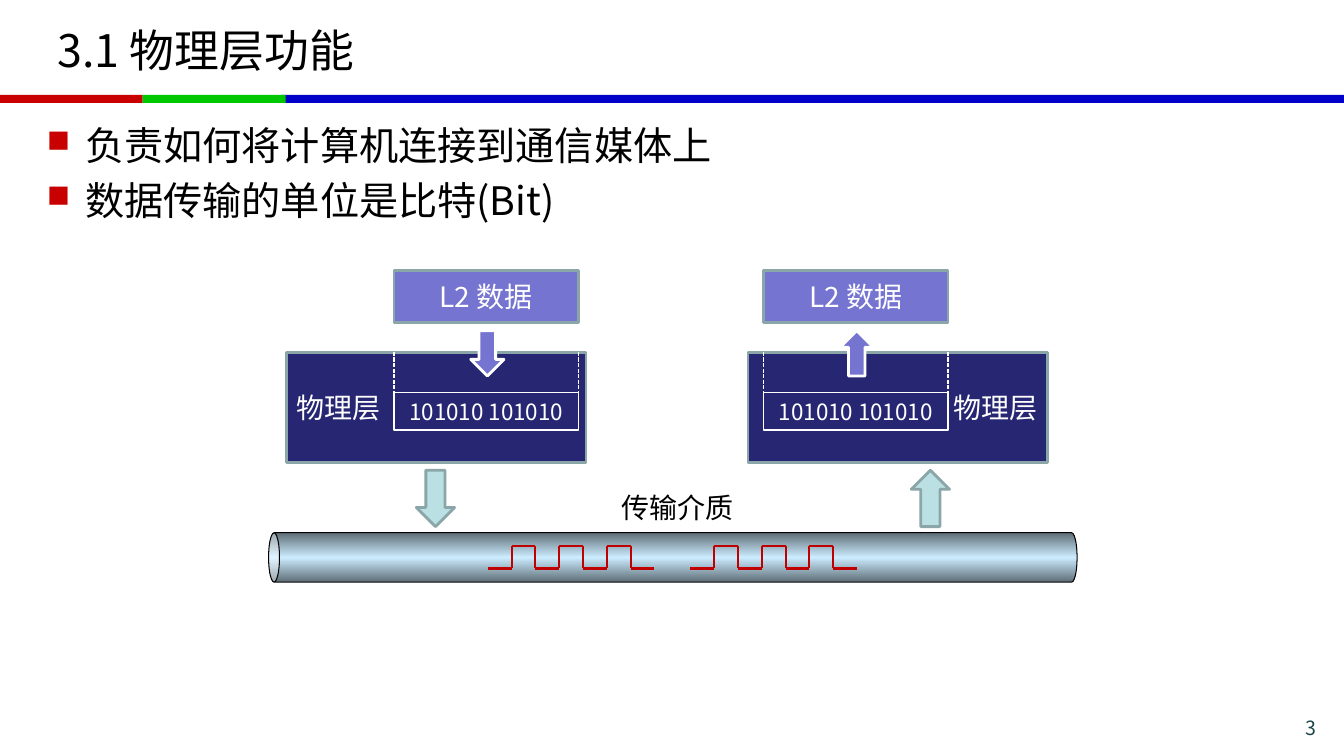
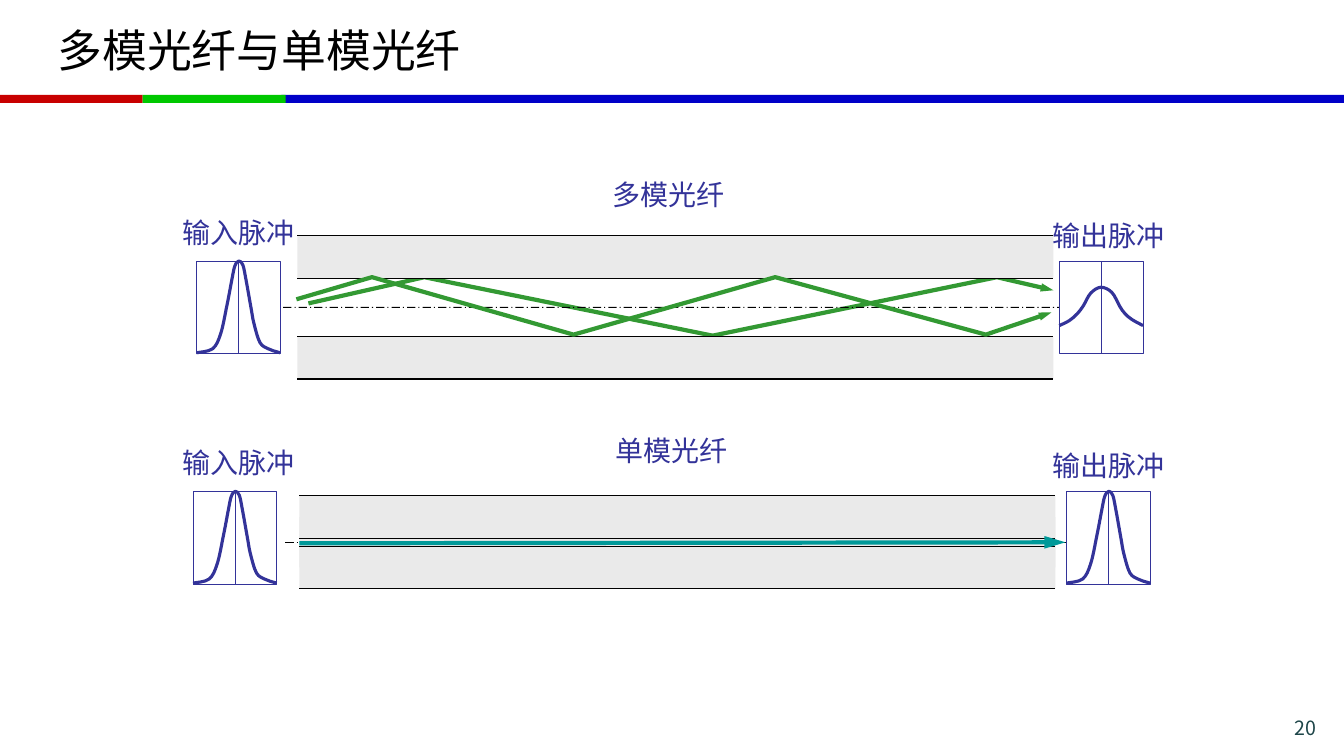
from lxml.etree import SubElement
from pptx import Presentation
from pptx.dml.color import RGBColor
from pptx.enum.dml import MSO_LINE
from pptx.enum.shapes import MSO_CONNECTOR, MSO_SHAPE
from pptx.enum.text import MSO_ANCHOR, MSO_AUTO_SIZE, PP_ALIGN
from pptx.oxml.ns import qn
from pptx.util import Inches, Pt

FONT = "Noto Sans CJK SC"
INK = {
    "black": "000000", "white": "FFFFFF", "page": "1E4649",
    "red": "C80000", "green": "00C800", "blue": "0000C8",
    "navy": "262673", "violet": "7575D1", "edge": "8AA6A8", "mint": "BBE0E3",
    "wave": "C00000", "shade": "5E6D76", "shine": "CCECFF",
    "clad": "EAEAEA", "pulse": "333399", "ray": "339933", "beam": "009999",
}
# The grid: square cells of a tenth of an inch, 133.33 columns by 75 rows
CELL = Inches(0.1)
COLS, ROWS = 133.33, 75
LEFT, MID, RIGHT = PP_ALIGN.LEFT, PP_ALIGN.CENTER, PP_ALIGN.RIGHT


def box(page, x, y, w, h, fill=None, edge=None, pt=1, text="", size=20,
        ink="black", align=MID, kind=MSO_SHAPE.RECTANGLE):
    """Add a shape, or a text box when kind is None."""
    place = [int(v * CELL) for v in (x, y, w, h)]
    if kind is None:
        shape = page.shapes.add_textbox(*place)
    else:
        shape = page.shapes.add_shape(kind, *place)
        shape.shadow.inherit = False
    for part, name in ((shape.fill, fill), (shape.line.fill, edge)):
        if name:
            part.solid()
            part.fore_color.rgb = RGBColor.from_string(INK[name])
        else:
            part.background()
    if edge:
        shape.line.width = Pt(pt)
    if text:
        frame = shape.text_frame
        frame.text = text
        frame.word_wrap = kind is not None or align != MID
        frame.vertical_anchor = MSO_ANCHOR.MIDDLE
        para = frame.paragraphs[0]
        para.alignment = align
        font = para.runs[0].font
        font.size = Pt(size)
        font.color.rgb = RGBColor.from_string(INK[ink])
    return shape


def wire(page, dots, ink, pt, dash=None, head=None, curve=False):
    """Join two dots by a connector, more dots by an open outline or curve."""
    dots = [(int(x * CELL), int(y * CELL)) for x, y in dots]
    if len(dots) == 2:
        shape = page.shapes.add_connector(MSO_CONNECTOR.STRAIGHT, *dots[0], *dots[1])
    else:
        pen = page.shapes.build_freeform(*dots[0], scale=1.0)
        pen.add_line_segments(dots[1:], close=False)
        shape = pen.convert_to_shape()
        shape.fill.background()
    shape.line.color.rgb = RGBColor.from_string(INK[ink])
    shape.line.width = Pt(pt)
    if dash:
        shape.line.dash_style = dash
    props = shape.element.spPr
    if curve:
        # Every three dots become two handles and the end of a Bézier curve
        track = next(props.iter(qn("a:path")))
        steps = list(track)[1:]
        for i in range(0, len(steps), 3):
            bend = SubElement(track, qn("a:cubicBezTo"))
            for step in steps[i:i + 3]:
                bend.append(step[0])
                track.remove(step)
    if head:
        SubElement(props.find(qn("a:ln")), qn("a:tailEnd"),
                   type="triangle", w=head[0], len=head[1])
    SubElement(props, qn("a:effectLst"))
    return shape


deck = Presentation()
deck.slide_width = int(COLS * CELL)
deck.slide_height = ROWS * CELL

# Shared title style and page number
pages = []
for plan, title, num in ((1, "3.1 物理层功能", "3"), (5, "多模光纤与单模光纤", "20")):
    page = deck.slides.add_slide(deck.slide_layouts[plan])
    pages.append(page)
    head = page.shapes.title
    head.left, head.top, head.width, head.height = [
        int(v * CELL) for v in (4.7, 0.75, 123.9, 8.4)]
    frame = head.text_frame
    frame.text = title
    frame.auto_size = MSO_AUTO_SIZE.NONE
    frame.vertical_anchor = MSO_ANCHOR.MIDDLE
    para = frame.paragraphs[0]
    para.alignment = LEFT
    para.runs[0].font.size = Pt(32)
    para.runs[0].font.color.rgb = RGBColor.from_string(INK["black"])
    box(page, 118.6, 70.8, 13, 2.8, text=num, size=14, ink="page", align=RIGHT, kind=None)
layer, fibre = pages

# Shared colour band, moved to the master
tree = deck.slide_master.shapes.element
for x, w, name in ((14.15, 14.2, "green"), (0, 14.15, "red"), (27.9, COLS - 27.9, "blue")):
    band = box(layer, x, 9.4, w, 0.8, name)
    tree.insert(2, band.element)

# Bullets of the first slide
body = layer.placeholders[1]
body.left, body.top, body.width, body.height = [
    int(v * CELL) for v in (3.65, 11.5, 126, 59.5)]
frame = body.text_frame
frame.text = "负责如何将计算机连接到通信媒体上\n数据传输的单位是比特(Bit)"
frame.auto_size = MSO_AUTO_SIZE.NONE
for para in frame.paragraphs:
    para.line_spacing = Pt(33.7)
    para.space_before = Pt(5.6)
    para.runs[0].font.size = Pt(28)
    para.runs[0].font.color.rgb = RGBColor.from_string(INK["black"])
for props in body.element.iter(qn("a:pPr")):
    props.set("marL", str(int(3.8 * CELL)))
    props.set("indent", str(int(-3.8 * CELL)))
    SubElement(SubElement(props, qn("a:buClr")), qn("a:srgbClr"), val=INK["red"])
    SubElement(props, qn("a:buSzPct"), val="80000")
    # The letter n of Wingdings is a filled square
    SubElement(props, qn("a:buFont"), typeface="Wingdings", charset="2")
    SubElement(props, qn("a:buChar"), char="n")

# Medium: a lying cylinder, shaded from edge to edge
pipe = box(layer, 64.3, 15.2, 4.9, 80.2, "shine", "black", 0.75, kind=MSO_SHAPE.CAN)
pipe.rotation = 270
pipe.adjustments[0] = 0.22
pipe.fill.gradient()
pipe.fill.gradient_angle = 0
stops = pipe.element.spPr.find(qn("a:gradFill")).find(qn("a:gsLst"))
stops.clear()
for pos, name in ((0, "shade"), (50, "shine"), (100, "shade")):
    stop = SubElement(stops, qn("a:gs"), pos=str(pos * 1000))
    SubElement(stop, qn("a:srgbClr"), val=INK[name])
box(layer, 60.6, 48.1, 13.2, 4.4, text="传输介质", kind=None)

# Signals: seven steps, low and high in turn, with a rise or fall between
STEP, HIGH, LOW = 2.36, 54.2, 56.4
for left in (48.4, 68.5):
    for i in range(7):
        x, y = left + STEP * i, HIGH if i % 2 else LOW
        wire(layer, [(x, y), (x + STEP, y)], "wave", 1.5)
        if i:
            wire(layer, [(x, LOW), (x, HIGH)], "wave", 1.5)

# Sender and receiver
DOWN, UP = MSO_SHAPE.DOWN_ARROW, MSO_SHAPE.UP_ARROW
for left, data, side, port, arrow in ((28.45, 39.1, LEFT, 41.3, DOWN),
                                      (74.2, 75.75, RIGHT, 90.4, UP)):
    box(layer, left, 35, 29.7, 10.9, "navy", "edge", 2, "物理层", 20, "white", side)
    box(layer, data, 38.95, 18.3, 3.7, None, "white", 1.25, "101010 101010", 16, "white")
    for x in (data, data + 18.3):
        wire(layer, [(x, 29.4), (x, 40.8)], "white", 1, MSO_LINE.SQUARE_DOT)
    box(layer, data, 26.8, 18.3, 5.2, "violet", "edge", 2, "L2 数据", 20, "white")
    box(layer, data + 7.6, 32.8, 3.3, 4.5, "violet", "white", 2, kind=arrow)
    box(layer, port, 46.65, 3.8, 5.6, "mint", "edge", 2, kind=arrow)

# Pulse outlines, measured from the corner of their frame
TALL = [(0, 9.1), (1.6, 8.7), (2.4, 7.2), (3, 4.5), (3.5, 1.9), (3.8, 0.5), (4.2, 0),
        (4.6, 0.4), (4.9, 1.8), (5.4, 4.6), (5.7, 6.2), (6.3, 8.1), (7.1, 8.7),
        (7.6, 8.9), (8.3, 9.1)]
FLAT = [(0, 6.4), (1, 5.9), (1.8, 5.2), (2.4, 4.4), (3.1, 3.2), (4.1, 2.6),
        (5.2, 3.1), (6, 4.5), (6.5, 5.2), (7.2, 5.8), (8.3, 6.4)]

# First bouncing ray, touching the cladding from behind
wire(fibre, [(30.6, 30.1), (42.1, 27.5), (70.7, 33.3), (98.9, 27.5), (104.5, 28.8)],
     "ray", 3, head=("sm", "med"))

# Fibres: name and its place, left, top, core height, axis, pulse row, pulses
CLAD, SPAN = 4.2, 75
for name, at, left, top, core, axis, row, pulses in (
        ("单模光纤", (60, 42.5), 29.7, 49.2, 0.8, 53.8, 48.75, ((19.15, TALL), (105.8, TALL))),
        ("多模光纤", (59.7, 17.1), 29.5, 23.4, 5.8, 30.5, 25.9, ((19.5, TALL), (105.1, FLAT)))):
    box(fibre, *at, 13.2, 4.4, text=name, ink="pulse", kind=None)
    if core < CLAD:
        box(fibre, left, top + CLAD / 2, SPAN, CLAD + core, "clad")
    for y in (top, top + CLAD + core):
        box(fibre, left, y, SPAN, CLAD, "clad")
        for edge in (y, y + CLAD):
            wire(fibre, [(left, edge), (left + SPAN, edge)], "black", 0.75)
    line = wire(fibre, [(left - 1.4, axis), (pulses[1][0], axis)], "black", 0.75,
                MSO_LINE.LONG_DASH_DOT)

    for (x, knots), text, side, lift in zip(pulses, ("输入脉冲", "输出脉冲"),
                                            (17.1, 103.4), (5, 4.7)):
        pane = box(fibre, x, row, 8.3, 9.2, "white", "pulse", 0.5)
        wire(fibre, [(x + 4.15, row), (x + 4.15, row + 9.2)], "pulse", 0.5)
        # A smooth curve through the knots
        ring = [(x + u, row + v) for u, v in [knots[0], *knots, knots[-1]]]
        dots = [ring[0]]
        for a, b, c, d in zip(ring, ring[1:], ring[2:], ring[3:]):
            dots += [(b[0] + (c[0] - a[0]) / 6, b[1] + (c[1] - a[1]) / 6),
                     (c[0] - (d[0] - b[0]) / 6, c[1] - (d[1] - b[1]) / 6), c]
        wire(fibre, dots, "pulse", 2.25, curve=True)
        box(fibre, side, row - lift, 13.1, 4.3, text=text, ink="pulse", kind=None)
    if core > CLAD:
        line.end_connect(pane, 1)

# Straight beam and second bouncing ray
wire(fibre, [(29.7, 53.9), (105.7, 53.8)], "beam", 3, head=("med", "lg"))
wire(fibre, [(29.4, 29.7), (36.9, 27.5), (56.9, 33.2), (76.9, 27.5), (97.8, 33.2),
             (104.3, 31)], "ray", 3, head=("sm", "med"))

# One font for Latin and Chinese text alike
for page in pages:
    for props in page.shapes.element.iter(qn("a:rPr")):
        for tag in ("a:latin", "a:ea"):
            SubElement(props, qn(tag), typeface=FONT)

deck.save("out.pptx")
